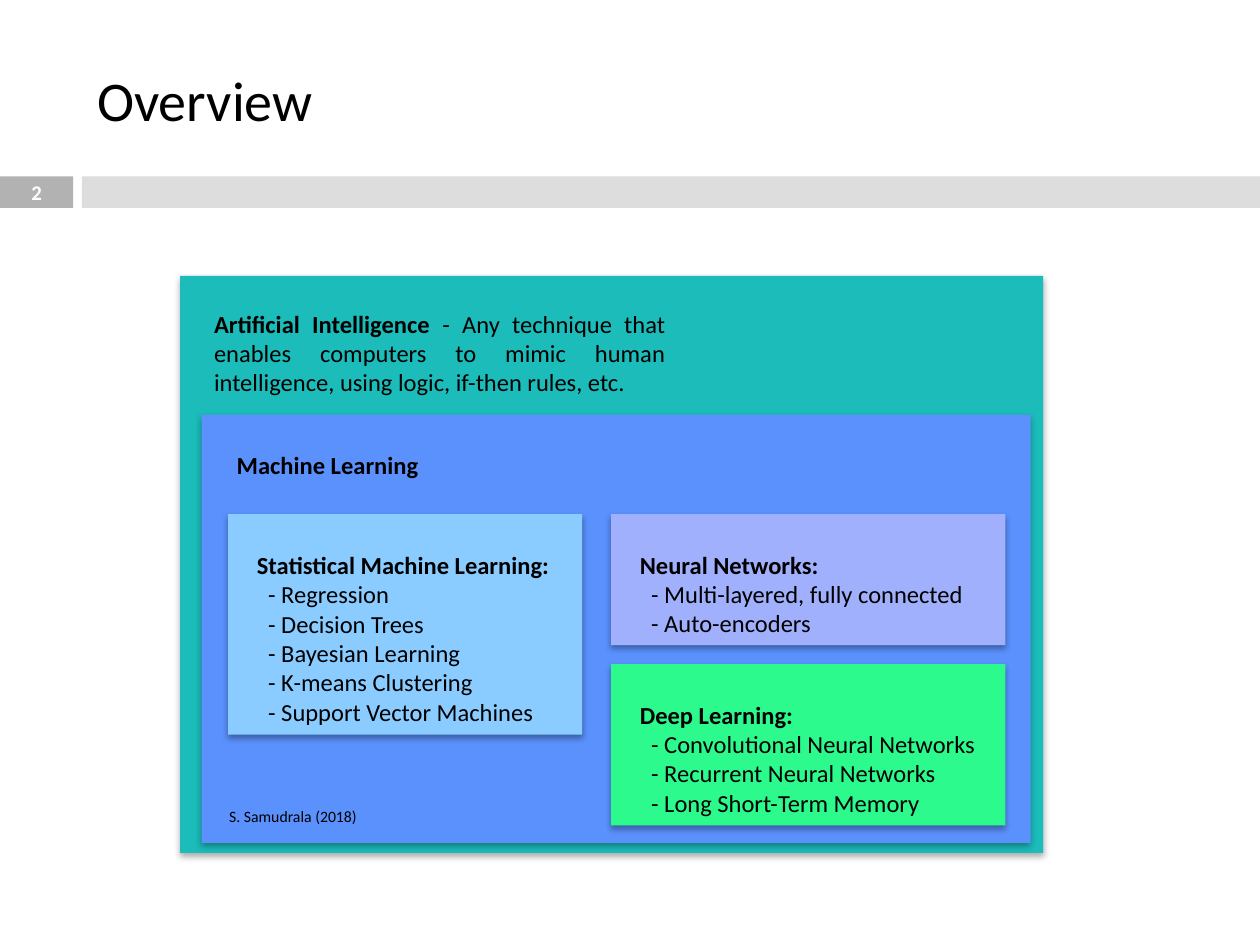
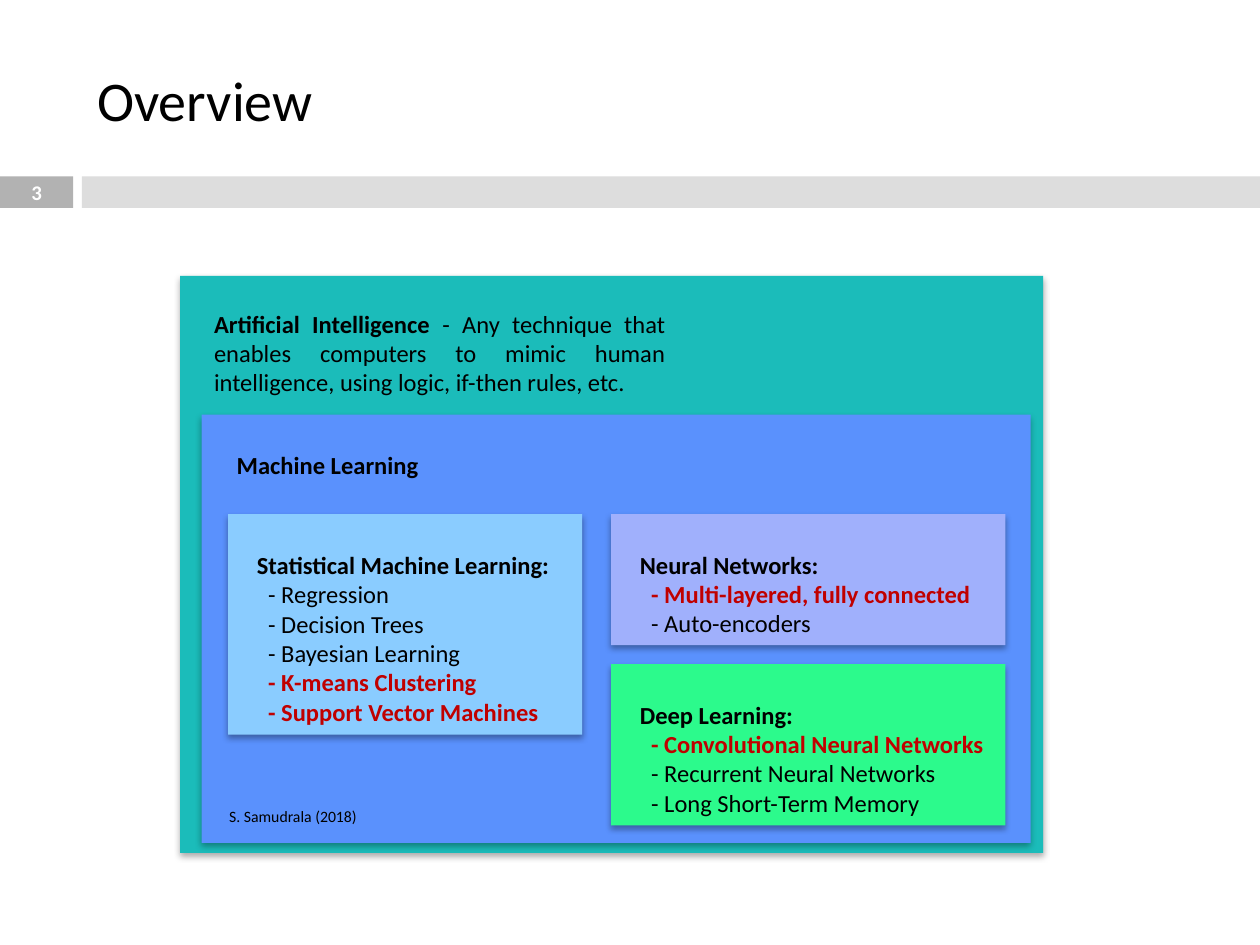
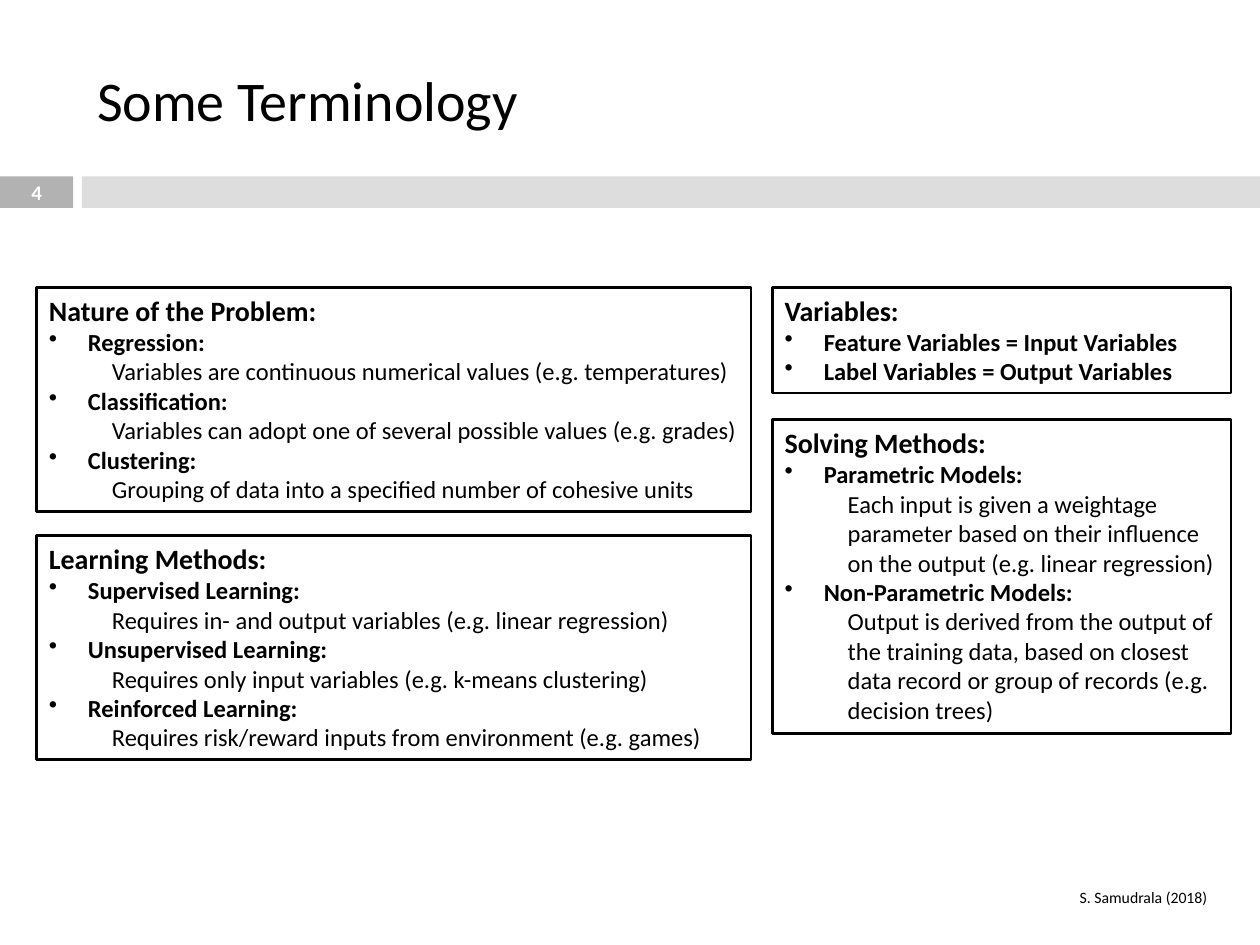
import pptx
import pptx.dml.color
import pptx.enum.shapes
import pptx.enum.text
import pptx.oxml
import pptx.oxml.ns
import pptx.util
from pptx.util import Inches

ALIGN = pptx.enum.text.PP_ALIGN
ANCHOR = pptx.enum.text.MSO_ANCHOR

OVERVIEW_PANELS = [
    # left, top, width, height, fill, heading indent, heading, items
    (1.6, 3.29, 6.58, 3.4, "5A91FD", 0.18, "Machine Learning", []),
    (4.85, 5.27, 3.13, 1.28, "2CFA8C", 0.13, "Deep Learning:",
     ["Convolutional Neural Networks", "Recurrent Neural Networks",
      "Long Short-Term Memory"]),
    (1.81, 4.08, 2.81, 1.75, "8ACCFF", 0.13, "Statistical Machine Learning:",
     ["Regression", "Decision Trees", "Bayesian Learning",
      "K-means Clustering", "Support Vector Machines"]),
    (4.85, 4.08, 3.13, 1.04, "A0B0FC", 0.13, "Neural Networks:",
     ["Multi-layered, fully connected", "Auto-encoders"]),
]
COURSE_TOPICS = {"Convolutional Neural Networks", "K-means Clustering",
                 "Support Vector Machines", "Multi-layered, fully connected"}

LEFT_COLUMN, RIGHT_COLUMN = (0.29, 5.67), (6.13, 3.64)
TERM_CARDS = [
    # column, top, height, heading, (term, explanation) pairs
    (LEFT_COLUMN, 2.28, 1.78, "Nature of the Problem:", [
        ("Regression:",
         "Variables are continuous numerical values (e.g. temperatures)"),
        ("Classification:",
         "Variables can adopt one of several possible values (e.g. grades)"),
        ("Clustering:",
         "Grouping of data into a specified number of cohesive units")]),
    (RIGHT_COLUMN, 2.28, 0.84, "Variables:", [
        ("Feature Variables = Input Variables", None),
        ("Label Variables = Output Variables", None)]),
    (LEFT_COLUMN, 4.25, 1.78, "Learning Methods:", [
        ("Supervised Learning:",
         "Requires in- and output variables (e.g. linear regression)"),
        ("Unsupervised Learning:",
         "Requires only input variables (e.g. k-means clustering)"),
        ("Reinforced Learning:",
         "Requires risk/reward inputs from environment (e.g. games)")]),
    (RIGHT_COLUMN, 3.33, 2.49, "Solving Methods:", [
        ("Parametric Models:",
         "Each input is given a weightage parameter based on their influence "
         "on the output (e.g. linear regression)"),
        ("Non-Parametric Models:",
         "Output is derived from the output of the training data, based on "
         "closest data record or group of records (e.g. decision trees)")]),
]


def rgb(value):
    return pptx.dml.color.RGBColor.from_string(value)


class Deck:
    font = "Calibri"
    black, white, accent = "000000", "FFFFFF", "C00000"
    tag_fill, band_fill, outer_fill = "B2B2B2", "DDDDDD", "1BBCBA"

    def __init__(self):
        self.presentation = pptx.Presentation()
        self.presentation.slide_width = Inches(10)
        self.presentation.slide_height = Inches(7.5)
        self.slide = None
        self.container = None

    def start_slide(self, title, number):
        layout = self.presentation.slide_layouts[5]
        self.slide = self.presentation.slides.add_slide(layout)
        self.container = self.slide
        self.rectangle(0, 1.4, 0.58, 0.25, self.tag_fill)
        self.rectangle(0.65, 1.4, 9.35, 0.25, self.band_fill)
        shape = self.slide.shapes.title
        shape.left, shape.top = Inches(0.67), Inches(0.25)
        shape.width, shape.height = Inches(8.92), Inches(1.08)
        shape.text_frame.auto_size = pptx.enum.text.MSO_AUTO_SIZE.NONE
        shape.text_frame.vertical_anchor = ANCHOR.MIDDLE
        self.set_text(shape.text_frame.paragraphs[0], title, 32)
        frame = self.text_box(0, 1.39, 0.58, 0.27)
        frame.vertical_anchor = ANCHOR.MIDDLE
        self.set_text(frame.paragraphs[0], str(number), 11.9, True, self.white,
                      align=ALIGN.CENTER)

    def start_group(self):
        """Put the following elements into a new group."""
        self.container = self.slide.shapes.add_group_shape()

    def end_group(self):
        self.container = self.slide

    def rectangle(self, left, top, width, height, fill, line=None):
        shape = self.container.shapes.add_shape(
            pptx.enum.shapes.MSO_SHAPE.RECTANGLE,
            Inches(left), Inches(top), Inches(width), Inches(height))
        shape.shadow.inherit = False
        shape.fill.solid()
        shape.fill.fore_color.rgb = rgb(fill)
        if line:
            shape.line.color.rgb = rgb(line)
            shape.line.width = pptx.util.Pt(1.5)
        else:
            shape.line.fill.background()
        shape.text_frame.word_wrap = True
        shape.text_frame.vertical_anchor = ANCHOR.TOP
        return shape

    def shadowed_rectangle(self, *place_and_fill):
        shape = self.rectangle(*place_and_fill)
        effects = shape.element.spPr.find(pptx.oxml.ns.qn("a:effectLst"))
        effects.append(pptx.oxml.parse_xml(
            f'<a:outerShdw {pptx.oxml.ns.nsdecls("a")} blurRad="44450" '
            'dist="27940" dir="5400000" rotWithShape="0">'
            f'<a:srgbClr val="{self.black}"><a:alpha val="32000"/></a:srgbClr>'
            '</a:outerShdw>'))
        return shape

    def text_box(self, left, top, width, height):
        frame = self.container.shapes.add_textbox(
            Inches(left), Inches(top), Inches(width), Inches(height)).text_frame
        frame.word_wrap = True
        return frame

    def style(self, run, size, bold, color):
        run.font.name = self.font
        run.font.size = pptx.util.Pt(size)
        run.font.bold = bold
        run.font.color.rgb = rgb(color)

    def set_text(self, paragraph, text, size, bold=False, color=black,
                 align=ALIGN.LEFT, indent=0, bullet=False):
        paragraph.text = text
        paragraph.alignment = align
        properties = paragraph._p.get_or_add_pPr()
        properties.set("marL", str(Inches(indent)))
        properties.set("indent", str(Inches(-indent if bullet else 0)))
        if bullet:
            properties.append(pptx.oxml.parse_xml(
                f'<a:buChar {pptx.oxml.ns.nsdecls("a")} char="•"/>'))
        self.style(paragraph.runs[0], size, bold, color)

    def definition(self, left, top, width, height, term, meaning):
        paragraph = self.text_box(left, top, width, height).paragraphs[0]
        self.set_text(paragraph, term, 14, True, align=ALIGN.JUSTIFY)
        run = paragraph.add_run()
        run.text = meaning
        self.style(run, 14, False, self.black)

    def panel(self, left, top, width, height, fill, indent, heading, items,
              highlighted):
        frame = self.shadowed_rectangle(left, top, width, height, fill).text_frame
        self.set_text(frame.paragraphs[0], heading, 14, True, indent=indent)
        frame.paragraphs[0].line_spacing = 2.0
        for item in items:
            marked = item in highlighted
            self.set_text(frame.add_paragraph(), f"- {item}", 14, marked,
                          self.accent if marked else self.black, indent=0.22)

    def card(self, column, top, height, heading, terms):
        left, width = column
        frame = self.rectangle(left, top, width, height, self.white,
                               self.black).text_frame
        self.set_text(frame.paragraphs[0], heading, 16, True)
        for term, explanation in terms:
            self.set_text(frame.add_paragraph(), term, 14, True, indent=0.31,
                          bullet=True)
            if explanation:
                paragraph = frame.add_paragraph()
                paragraph.level = 1
                self.set_text(paragraph, explanation, 14, indent=0.5)

    def citation(self, left, top):
        frame = self.text_box(left, top, 1.3, 0.25)
        self.set_text(frame.paragraphs[0], "S. Samudrala (2018)", 9)


def add_overview(deck, number, highlighted):
    deck.start_slide("Overview", number)
    deck.start_group()
    deck.shadowed_rectangle(1.43, 2.19, 6.85, 4.58, deck.outer_fill)
    deck.definition(1.6, 2.4, 3.78, 0.81, "Artificial Intelligence",
                    " - Any technique that enables computers to mimic human "
                    "intelligence, using logic, if-then rules, etc.")
    for panel in OVERVIEW_PANELS:
        deck.panel(*panel, highlighted)
    deck.end_group()
    deck.citation(1.72, 6.35)


def add_terminology(deck, number):
    deck.start_slide("Some Terminology", number)
    for card in TERM_CARDS:
        deck.card(*card)
    deck.citation(8.47, 7)


def main():
    deck = Deck()
    add_overview(deck, 2, set())
    add_overview(deck, 3, COURSE_TOPICS)
    add_terminology(deck, 4)
    deck.presentation.save("out.pptx")


if __name__ == "__main__":
    main()
